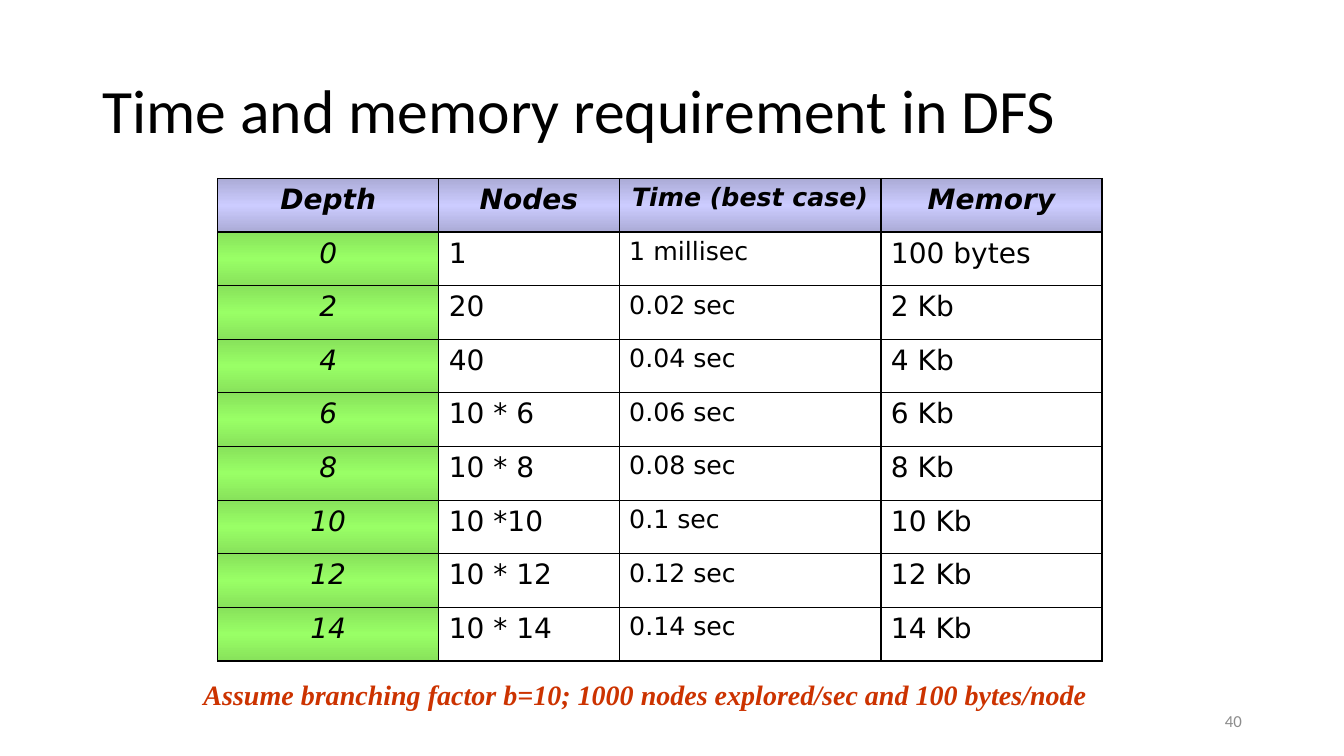
from lxml import etree
from pptx import Presentation
from pptx import util as u
from pptx.dml.color import RGBColor
from pptx.enum import text
from pptx.oxml.ns import qn

BLACK = RGBColor(0x00, 0x00, 0x00)
RED = RGBColor(0xCC, 0x33, 0x00)
GREY = RGBColor(0x8C, 0x8C, 0x8C)
LILAC, LILAC_EDGE = RGBColor(0xCC, 0xCC, 0xFF), RGBColor(0xAB, 0xAB, 0xD6)
GREEN, GREEN_EDGE = RGBColor(0x99, 0xFF, 0x66), RGBColor(0x88, 0xE2, 0x5B)

WIDTH, HEIGHT = u.Inches(13.33), u.Inches(7.5)
HEADINGS = ("Depth", "Nodes", "Time (best case)", "Memory")
ROWS = [
    ("0", "1", "1 millisec", "100 bytes"),
    ("2", "20", "0.02 sec", "2 Kb"),
    ("4", "40", "0.04 sec", "4 Kb"),
    ("6", "10 * 6", "0.06 sec", "6 Kb"),
    ("8", "10 * 8", "0.08 sec", "8 Kb"),
    ("10", "10 *10", "0.1 sec", "10 Kb"),
    ("12", "10 * 12", "0.12 sec", "12 Kb"),
    ("14", "10 * 14", "0.14 sec", "14 Kb"),
]
COLUMN_SHARES = (25, 20.4, 29.6, 25)
SIZES = (20, 20, 18, 20)


def area(x, y, w, h):
    """Turn percentages of the slide into a box."""
    return tuple(int(share * side / 100)
                 for share, side in zip((x, y, w, h), (WIDTH, HEIGHT) * 2))


def style(p, font, size, color, bold=False, italic=False):
    """Format every run of a paragraph."""
    for r in p.runs:
        r.font.name, r.font.size = font, u.Pt(size)
        r.font.bold, r.font.italic = bold, italic
        r.font.color.rgb = color


def add_label(s, box, words, font, size, color, emphasis=False,
              align=text.PP_ALIGN.LEFT, anchor=text.MSO_ANCHOR.MIDDLE):
    """Place one line of text in its box."""
    tf = s.shapes.add_textbox(*box).text_frame
    tf.word_wrap, tf.vertical_anchor = True, anchor
    tf.text = words
    p = tf.paragraphs[0]
    p.alignment = align
    style(p, font, size, color, emphasis, emphasis)
    return p


def add_color(parent, color):
    """Append an RGB colour element."""
    etree.SubElement(parent, qn("a:srgbClr"), val=str(color))


def add_borders(cell):
    """Outline a cell with thin black lines."""
    for side in ("lnL", "lnR", "lnT", "lnB"):
        line = etree.SubElement(cell._tc.get_or_add_tcPr(), qn(f"a:{side}"),
                                w=str(u.Pt(1)))
        add_color(etree.SubElement(line, qn("a:solidFill")), BLACK)


def add_gradient(cell, edge, middle):
    """Fill a cell with a vertical gradient that peaks in the middle."""
    fill = etree.SubElement(cell._tc.get_or_add_tcPr(), qn("a:gradFill"),
                            rotWithShape="1")
    stops = etree.SubElement(fill, qn("a:gsLst"))
    for percent, color in ((0, edge), (50, middle), (100, edge)):
        add_color(etree.SubElement(stops, qn("a:gs"), pos=str(percent * 1000)), color)
    etree.SubElement(fill, qn("a:lin"), ang="5400000", scaled="1")


def add_requirements(s, box):
    """Place the table of time and memory per depth."""
    left, top, width, height = box
    count = len(ROWS) + 1
    table = s.shapes.add_table(count, len(HEADINGS), left, top, width, height).table
    for column, share in zip(table.columns, COLUMN_SHARES):
        column.width = int(width * share / 100)
    for i, values in enumerate([HEADINGS, *ROWS]):
        table.rows[i].height = height // count
        for j, value in enumerate(values):
            cell = table.cell(i, j)
            header, marked = i == 0, i == 0 or j == 0
            cell.text = value
            p = cell.text_frame.paragraphs[0]
            p.alignment = text.PP_ALIGN.CENTER if marked else text.PP_ALIGN.LEFT
            style(p, "DejaVu Sans", SIZES[j], BLACK, header, marked)
            add_borders(cell)
            if header:
                add_gradient(cell, LILAC_EDGE, LILAC)
            elif marked:
                add_gradient(cell, GREEN_EDGE, GREEN)
            else:
                cell.fill.background()


def main():
    """Build and save the slide."""
    prs = Presentation()
    prs.slide_width, prs.slide_height = WIDTH, HEIGHT
    s = prs.slides.add_slide(prs.slide_layouts[6])
    title = add_label(s, area(6.9, 5.33, 86.25, 19.33),
                      "Time and memory requirement in DFS", "Calibri", 44, BLACK)
    title.line_spacing = 0.9
    add_requirements(s, area(16.2, 23.6, 65.8, 63.87))
    add_label(s, area(14.4, 88.93, 69.4, 5.73),
              "Assume branching factor b=10; 1000 nodes explored/sec and 100 bytes/node",
              "Times New Roman", 20, RED, True, anchor=text.MSO_ANCHOR.TOP)
    add_label(s, area(70.65, 92.67, 22.5, 5.33), "40", "Calibri", 12, GREY,
              align=text.PP_ALIGN.RIGHT)
    prs.save("out.pptx")


if __name__ == "__main__":
    main()
